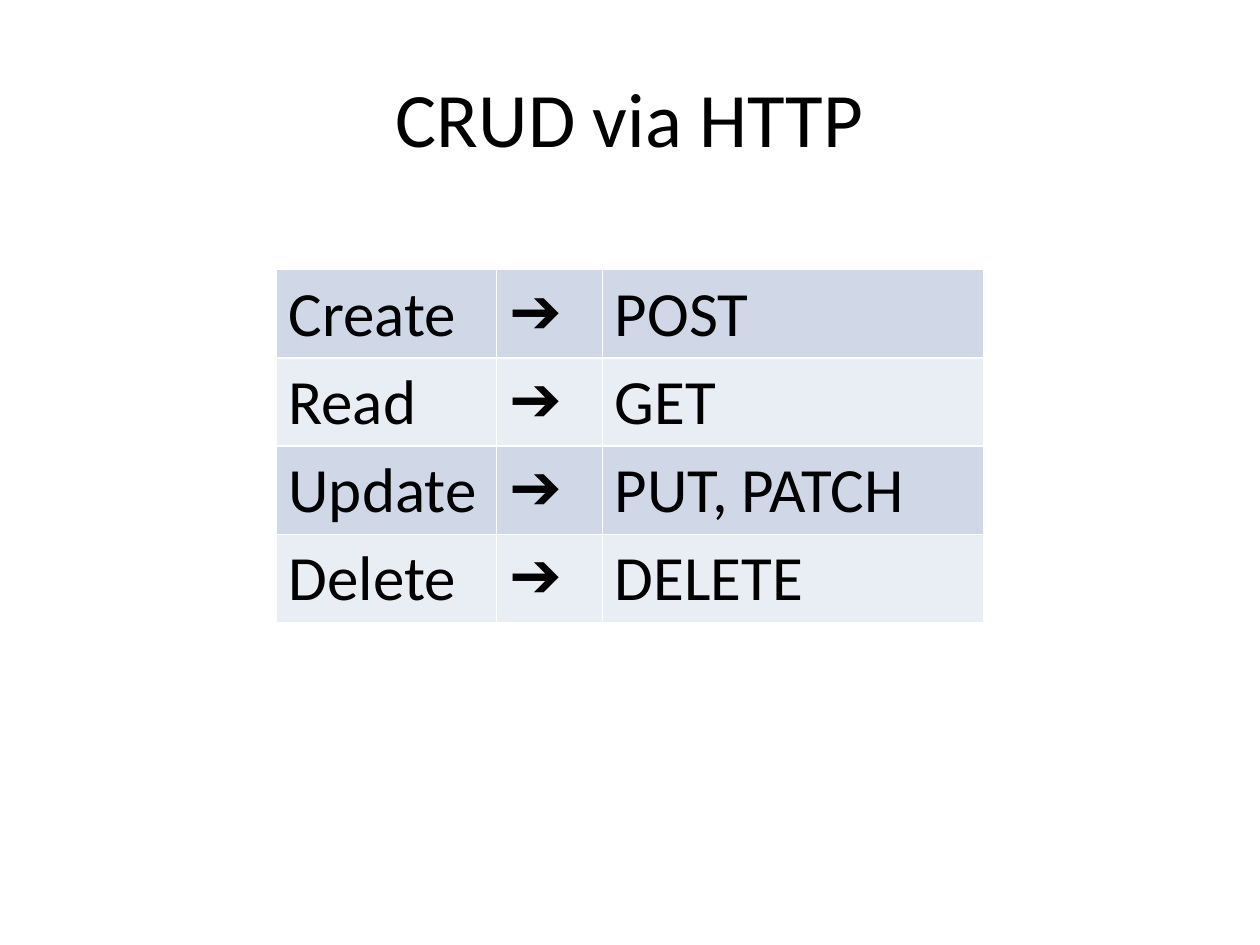
from dataclasses import dataclass

from pptx import Presentation
from pptx.dml.color import RGBColor as Rgb
from pptx.enum.text import MSO_ANCHOR as Anchor, PP_ALIGN as Align
from pptx.util import Inches, Pt


@dataclass(frozen=True)
class Theme:
    ink: str = "000000"
    bands: tuple = ("D0D8E8", "E9EDF4")
    font: str = "Calibri"
    sign: str = "Arial"
    title: int = 44
    body: int = 36


theme = Theme()


def write(frame, text, size=theme.body, font=theme.font, align=Align.LEFT):
    para = frame.paragraphs[0]
    para.alignment = align
    run = para.add_run()
    run.text = text
    run.font.size = Pt(size)
    run.font.name = font
    run.font.color.rgb = Rgb.from_string(theme.ink)


deck = Presentation()
deck.slide_width, deck.slide_height = Inches(10), Inches(7.5)
slide = deck.slides.add_slide(deck.slide_layouts[6])

# Title
box = slide.shapes.add_textbox(Inches(0.5), Inches(0.3), Inches(9), Inches(1.25))
frame = box.text_frame
frame.word_wrap = True
frame.vertical_anchor = Anchor.MIDDLE
write(frame, "CRUD via HTTP", size=theme.title, align=Align.CENTER)

# Table of actions and their HTTP verbs
verbs = {
    "Create": "POST",
    "Read": "GET",
    "Update": "PUT, PATCH",
    "Delete": "DELETE",
}
widths = (1.75, 0.84, 3.03)
high = 0.7
table = slide.shapes.add_table(
    len(verbs), len(widths), Inches(2.19), Inches(2.14),
    Inches(sum(widths)), Inches(high * len(verbs)),
).table
table.first_row = False

for col, width in zip(table.columns, widths):
    col.width = Inches(width)

fonts = (theme.font, theme.sign, theme.font)
for i, (action, verb) in enumerate(verbs.items()):
    table.rows[i].height = Inches(high)
    for j, text in enumerate((action, "➔", verb)):
        cell = table.cell(i, j)
        cell.fill.solid()
        cell.fill.fore_color.rgb = Rgb.from_string(theme.bands[i % 2])
        write(cell.text_frame, text, font=fonts[j])

deck.save("out.pptx")
